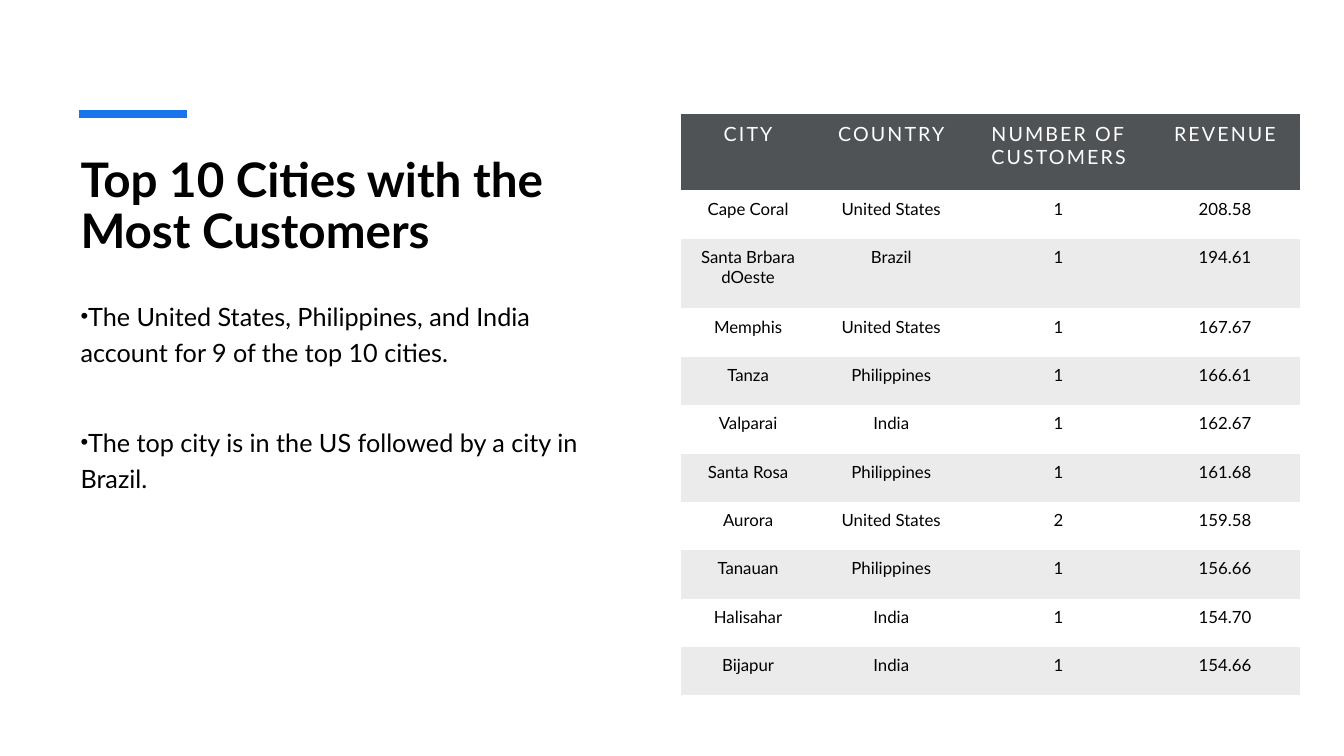
from lxml import etree
from pptx import Presentation, util as u
from pptx.dml.color import RGBColor
from pptx.enum import shapes, text
from pptx.oxml.ns import qn

BLACK, WHITE, BLUE, SLATE, BAND = "000000", "FFFFFF", "1973EB", "505356", "EBEBEB"
NO_GRID_STYLE = "{2D5ABB26-0587-4C30-8999-92F81FD0307C}"

HEADERS = ["CITY", "COUNTRY", "NUMBER OF CUSTOMERS", "REVENUE"]
CITIES = [
    ["Cape Coral", "United States", "1", "208.58"],
    ["Santa Brbara dOeste", "Brazil", "1", "194.61"],
    ["Memphis", "United States", "1", "167.67"],
    ["Tanza", "Philippines", "1", "166.61"],
    ["Valparai", "India", "1", "162.67"],
    ["Santa Rosa", "Philippines", "1", "161.68"],
    ["Aurora", "United States", "2", "159.58"],
    ["Tanauan", "Philippines", "1", "156.66"],
    ["Halisahar", "India", "1", "154.70"],
    ["Bijapur", "India", "1", "154.66"],
]
COLUMN_WIDTHS = [1.34, 1.5, 1.82, 1.48]
ROW_HEIGHTS = [0.76, 0.48, 0.69] + [0.48] * 8


def color(value):
    return RGBColor.from_string(value)


class SlideBuilder:
    def __init__(self, slide, font="Lato"):
        self.slide = slide
        self.font = font

    def format_runs(self, paragraph, size, fill=BLACK, bold=False, tracking=0):
        """Style every run; tracking is the letter spacing in points."""
        for run in paragraph.runs:
            run.font.name = self.font
            run.font.size = u.Pt(size)
            run.font.bold = bold
            run.font.color.rgb = color(fill)
            if tracking:
                run.font._element.set("spc", str(round(tracking * 100)))

    def text_box(self, left, top, width, height, content, size, line_spacing,
                 gap=0, bold=False, bullet=None):
        """Add one paragraph per line of content, with gap points between them."""
        box = self.slide.shapes.add_textbox(*map(u.Inches, (left, top, width, height)))
        frame = box.text_frame
        frame.word_wrap = True
        frame.vertical_anchor = text.MSO_ANCHOR.TOP
        frame.text = content
        for paragraph in frame.paragraphs:
            paragraph.line_spacing = line_spacing
            paragraph.space_after = u.Pt(gap)
            self.format_runs(paragraph, size, bold=bold)
            if bullet:
                properties = paragraph._p.get_or_add_pPr()
                properties.set("marL", "0")
                properties.set("indent", "0")
                etree.SubElement(properties, qn("a:buSzPct"), val="87000")
                etree.SubElement(properties, qn("a:buFont"), typeface="Arial")
                etree.SubElement(properties, qn("a:buChar"), char=bullet)

    def line(self, left, top, right, bottom, fill, width):
        connector = self.slide.shapes.add_connector(
            shapes.MSO_CONNECTOR.STRAIGHT, *map(u.Inches, (left, top, right, bottom)))
        connector.line.color.rgb = color(fill)
        connector.line.width = u.Pt(width)
        etree.SubElement(connector._element.spPr, qn("a:effectLst"))

    def table(self, left, top, widths, heights, rows):
        frame = self.slide.shapes.add_table(
            len(rows), len(widths),
            *map(u.Inches, (left, top, sum(widths), sum(heights))))
        table = frame.table
        table.horz_banding = False
        table._tbl.tblPr.find(qn("a:tableStyleId")).text = NO_GRID_STYLE
        for column, width in zip(table.columns, widths):
            column.width = u.Inches(width)
        for index, (row, height, values) in enumerate(zip(table.rows, heights, rows)):
            row.height = u.Inches(height)
            for cell, value in zip(row.cells, values):
                self.cell(cell, value, index)

    def cell(self, cell, value, row_index):
        """Fill a cell: dark header row, then plain and grey rows in turn."""
        header = row_index == 0
        cell.margin_left = cell.margin_right = u.Inches(0.08)
        cell.margin_top = cell.margin_bottom = u.Inches(0.08)
        if header or row_index % 2 == 0:
            cell.fill.solid()
            cell.fill.fore_color.rgb = color(SLATE if header else BAND)
        else:
            cell.fill.background()
        cell.text_frame.text = value
        paragraph = cell.text_frame.paragraphs[0]
        paragraph.alignment = text.PP_ALIGN.CENTER
        if header:
            self.format_runs(paragraph, 14, WHITE, tracking=1.5)
        else:
            self.format_runs(paragraph, 12)


def main():
    presentation = Presentation()
    presentation.slide_width = u.Inches(13.33)
    presentation.slide_height = u.Inches(7.5)
    builder = SlideBuilder(presentation.slides.add_slide(presentation.slide_layouts[6]))

    builder.text_box(0.7, 1.5, 5.35, 1.2, "Top 10 Cities with the Most Customers",
                     size=34, line_spacing=0.9, bold=True)
    findings = [
        "The United States, Philippines, and India account for 9 of the top 10 cities.",
        "The top city is in the US followed by a city in Brazil.",
    ]
    builder.text_box(0.7, 2.88, 5.35, 4.01, "\n".join(findings),
                     size=18, line_spacing=1.2, gap=38, bullet="•")
    builder.line(0.78, 1.13, 1.85, 1.13, BLUE, width=6)
    builder.table(6.75, 1.13, COLUMN_WIDTHS, ROW_HEIGHTS, [HEADERS] + CITIES)

    presentation.save("out.pptx")


if __name__ == "__main__":
    main()
